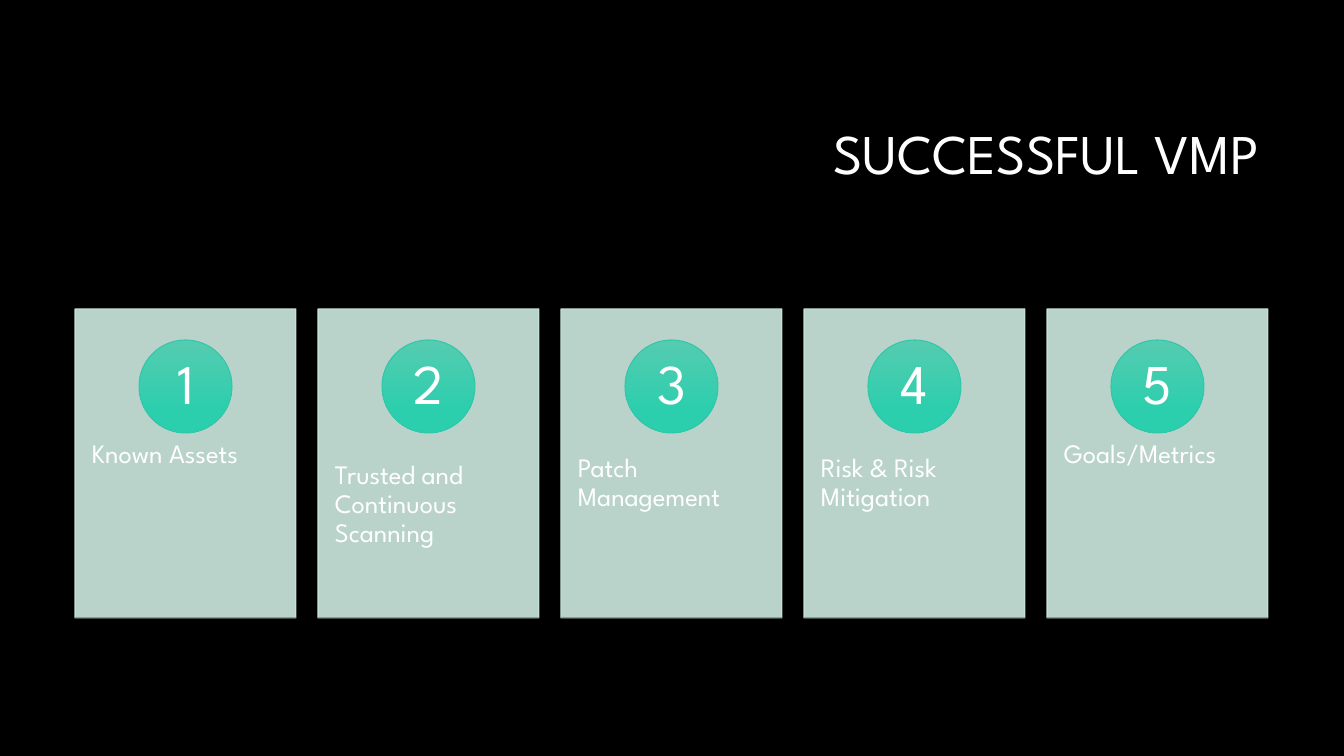
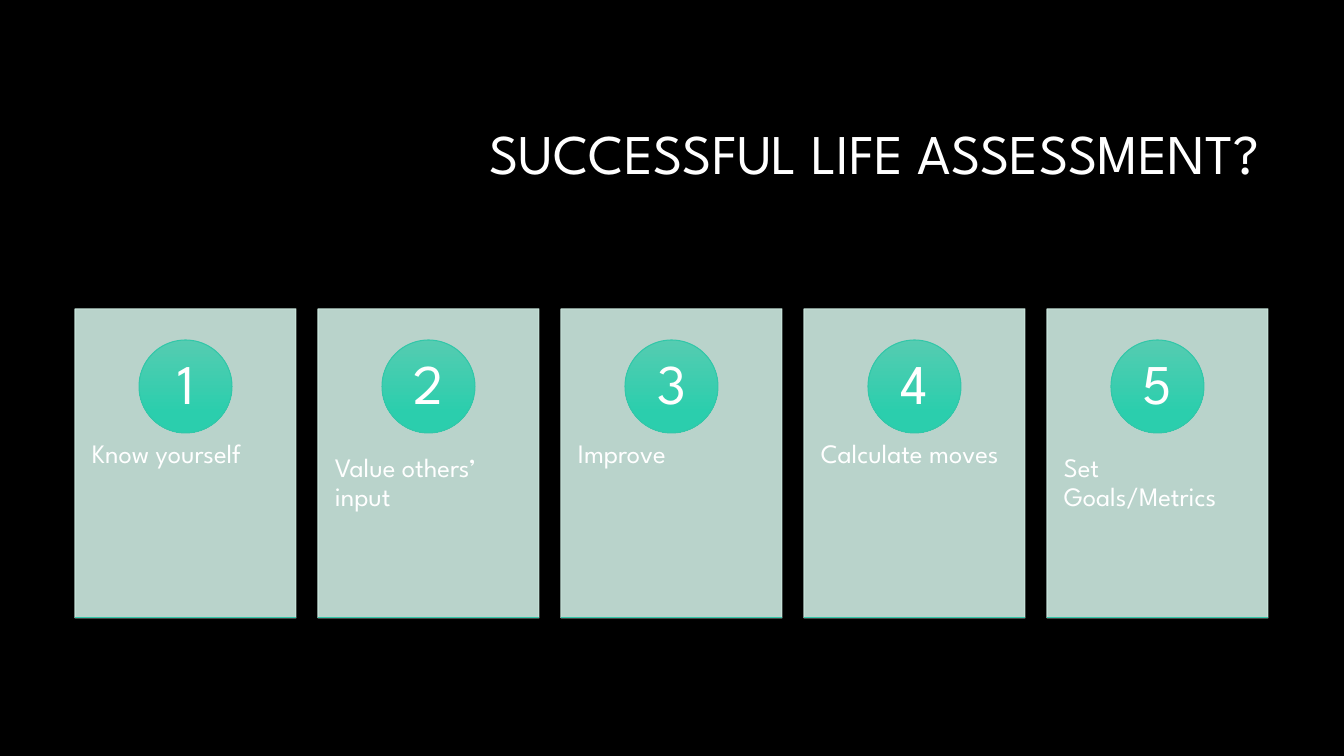
from dataclasses import dataclass

import lxml.etree
import pptx
import pptx.dml.color
import pptx.enum.shapes
import pptx.enum.text
import pptx.oxml.ns
import pptx.util

# Shared scale, font and colours
SLIDE_WIDTH, SLIDE_HEIGHT = 1344, 756
EMU_PER_PX = 12192000 / SLIDE_WIDTH
FONT = "League Spartan"
BLACK, WHITE = "000000", "FFFFFF"
MINT, TEAL = "CEEBE2", "32C7A9"
GRADIENT = ((0, "55CCB1"), (0.78, "2BCEAD"))
LINE_WIDTH = pptx.util.Pt(0.75)

# Card row
CARD_LEFT, CARD_TOP, CARD_WIDTH, CARD_HEIGHT = 75, 309, 221, 309
CARD_PITCH = 243
BADGE_TOP, BADGE_SIZE = 340, 93
LABEL_TOP, LABEL_HEIGHT = 426, 185

SHAPE = pptx.enum.shapes.MSO_SHAPE
ALIGN = pptx.enum.text.PP_ALIGN
ANCHOR = pptx.enum.text.MSO_ANCHOR


@dataclass(frozen=True)
class Frame:
    left: int
    top: int
    width: int
    height: int


@dataclass(frozen=True)
class TextStyle:
    size: int
    align: ALIGN
    anchor: ANCHOR
    inset_x: int
    inset_y: int


@dataclass(frozen=True)
class CardPage:
    title: str
    labels: tuple[str, ...]


TITLE_FRAME = Frame(320, 85, 949, 142)
TITLE = TextStyle(40, ALIGN.RIGHT, ANCHOR.MIDDLE, 10, 5)
NUMBER = TextStyle(40, ALIGN.CENTER, ANCHOR.MIDDLE, 7, 1)
LABEL = TextStyle(19, ALIGN.LEFT, ANCHOR.TOP, 17, 36)

PAGES = (
    CardPage("SUCCESSFUL VMP", (
        "Known Assets", "Trusted and Continuous Scanning", "Patch Management",
        "Risk & Risk Mitigation", "Goals/Metrics")),
    CardPage("SUCCESSFUL LIFE ASSESSMENT?", (
        "Know yourself", "Value others’ input", "Improve",
        "Calculate moves", "Set Goals/Metrics")),
)


def px(length: int) -> pptx.util.Emu:
    return pptx.util.Emu(round(length * EMU_PER_PX))


def color(value: str) -> pptx.dml.color.RGBColor:
    return pptx.dml.color.RGBColor.from_string(value)


def place(frame: Frame) -> tuple[pptx.util.Emu, ...]:
    return px(frame.left), px(frame.top), px(frame.width), px(frame.height)


def set_values(target, values: dict) -> None:
    for name, value in values.items():
        setattr(target, name, value)


def write(box, text: str, style: TextStyle) -> None:
    frame = box.text_frame
    set_values(frame, {
        "word_wrap": True, "vertical_anchor": style.anchor,
        "margin_left": px(style.inset_x), "margin_right": px(style.inset_x),
        "margin_top": px(style.inset_y), "margin_bottom": px(style.inset_y)})
    para = frame.paragraphs[0]
    set_values(para, {"alignment": style.align, "line_spacing": 0.9})
    span = para.add_run()
    span.text = text
    set_values(span.font, {"name": FONT, "size": pptx.util.Pt(style.size)})
    span.font.color.rgb = color(WHITE)


def add_text(page, frame: Frame, text: str, style: TextStyle) -> None:
    write(page.shapes.add_textbox(*place(frame)), text, style)


def add_outlined(page, kind: SHAPE, frame: Frame, outline: str):
    shape = page.shapes.add_shape(kind, *place(frame))
    shape.shadow.inherit = False
    shape.line.color.rgb = color(outline)
    shape.line.width = LINE_WIDTH
    return shape


def add_panel(page, frame: Frame) -> None:
    panel = add_outlined(page, SHAPE.RECTANGLE, frame, MINT)
    panel.fill.solid()
    panel.fill.fore_color.rgb = color(MINT)
    # Fill and outline are both 90% opaque
    for tint in list(panel.element.spPr.iter(pptx.oxml.ns.qn("a:srgbClr"))):
        lxml.etree.SubElement(tint, pptx.oxml.ns.qn("a:alpha"), val="90000")


def add_badge(page, frame: Frame, number: int) -> None:
    badge = add_outlined(page, SHAPE.OVAL, frame, TEAL)
    badge.fill.gradient()
    badge.fill.gradient_angle = 270
    for stop, (position, tint) in zip(badge.fill.gradient_stops, GRADIENT):
        stop.position = position
        stop.color.rgb = color(tint)
    write(badge, str(number), NUMBER)


def add_rule(page, left: int, top: int, width: int) -> None:
    rule = page.shapes.add_connector(
        pptx.enum.shapes.MSO_CONNECTOR.STRAIGHT,
        px(left), px(top), px(left + width), px(top))
    rule.line.color.rgb = color(TEAL)
    rule.line.width = LINE_WIDTH
    lxml.etree.SubElement(rule.element.spPr, pptx.oxml.ns.qn("a:effectLst"))


def add_card(page, index: int, label: str) -> None:
    left = CARD_LEFT + index * CARD_PITCH
    badge_left = left + (CARD_WIDTH - BADGE_SIZE) // 2
    add_panel(page, Frame(left, CARD_TOP, CARD_WIDTH, CARD_HEIGHT))
    add_text(page, Frame(left, LABEL_TOP, CARD_WIDTH, LABEL_HEIGHT), label, LABEL)
    add_badge(page, Frame(badge_left, BADGE_TOP, BADGE_SIZE, BADGE_SIZE), index + 1)
    add_rule(page, left, CARD_TOP + CARD_HEIGHT, CARD_WIDTH)


def main() -> None:
    deck = pptx.Presentation()
    set_values(deck, {"slide_width": px(SLIDE_WIDTH), "slide_height": px(SLIDE_HEIGHT)})

    # Black background for every slide
    backdrop = deck.slide_master.background.fill
    backdrop.solid()
    backdrop.fore_color.rgb = color(BLACK)

    for content in PAGES:
        page = deck.slides.add_slide(deck.slide_layouts[6])
        add_text(page, TITLE_FRAME, content.title, TITLE)
        for index, label in enumerate(content.labels):
            add_card(page, index, label)
    deck.save("out.pptx")


if __name__ == "__main__":
    main()
